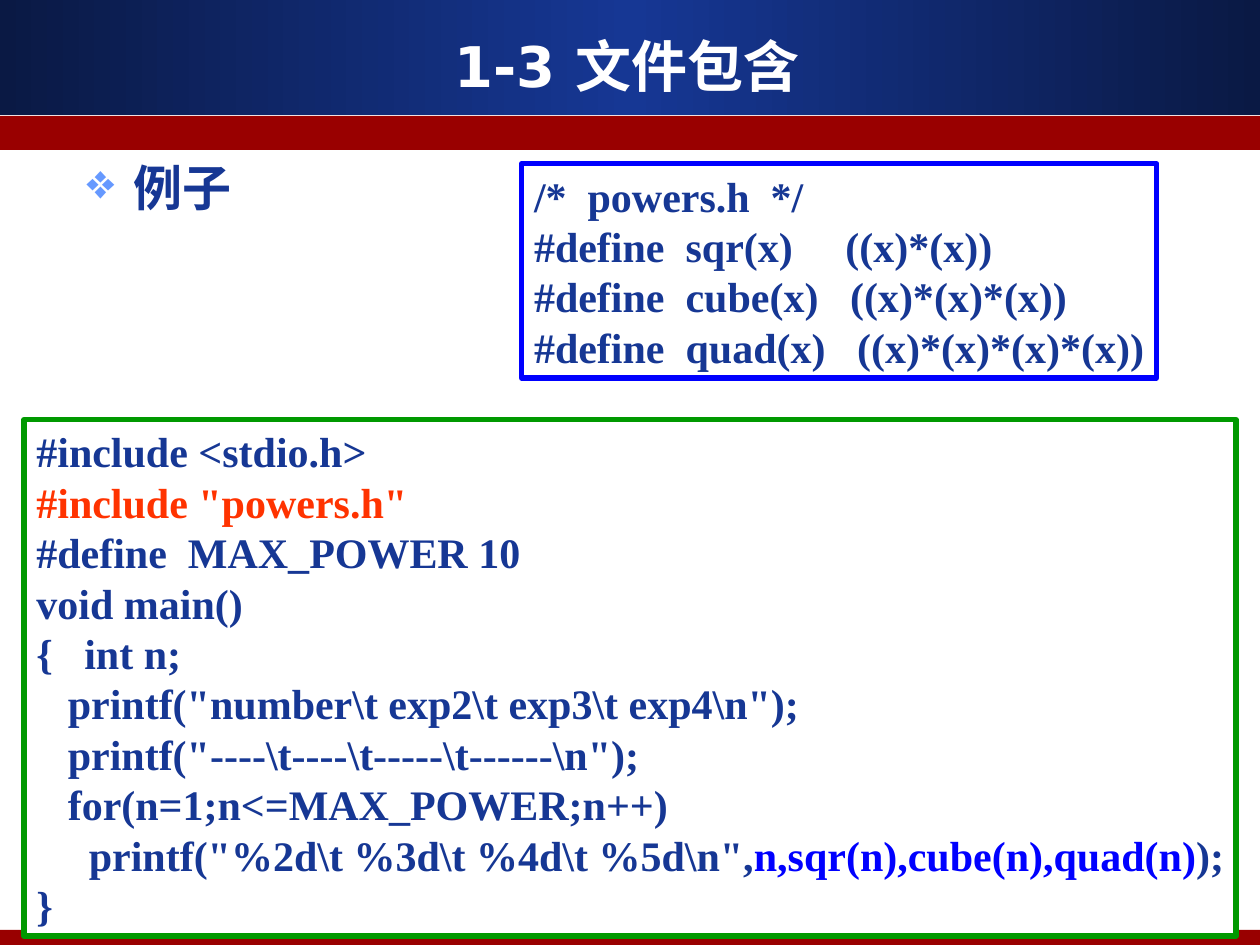
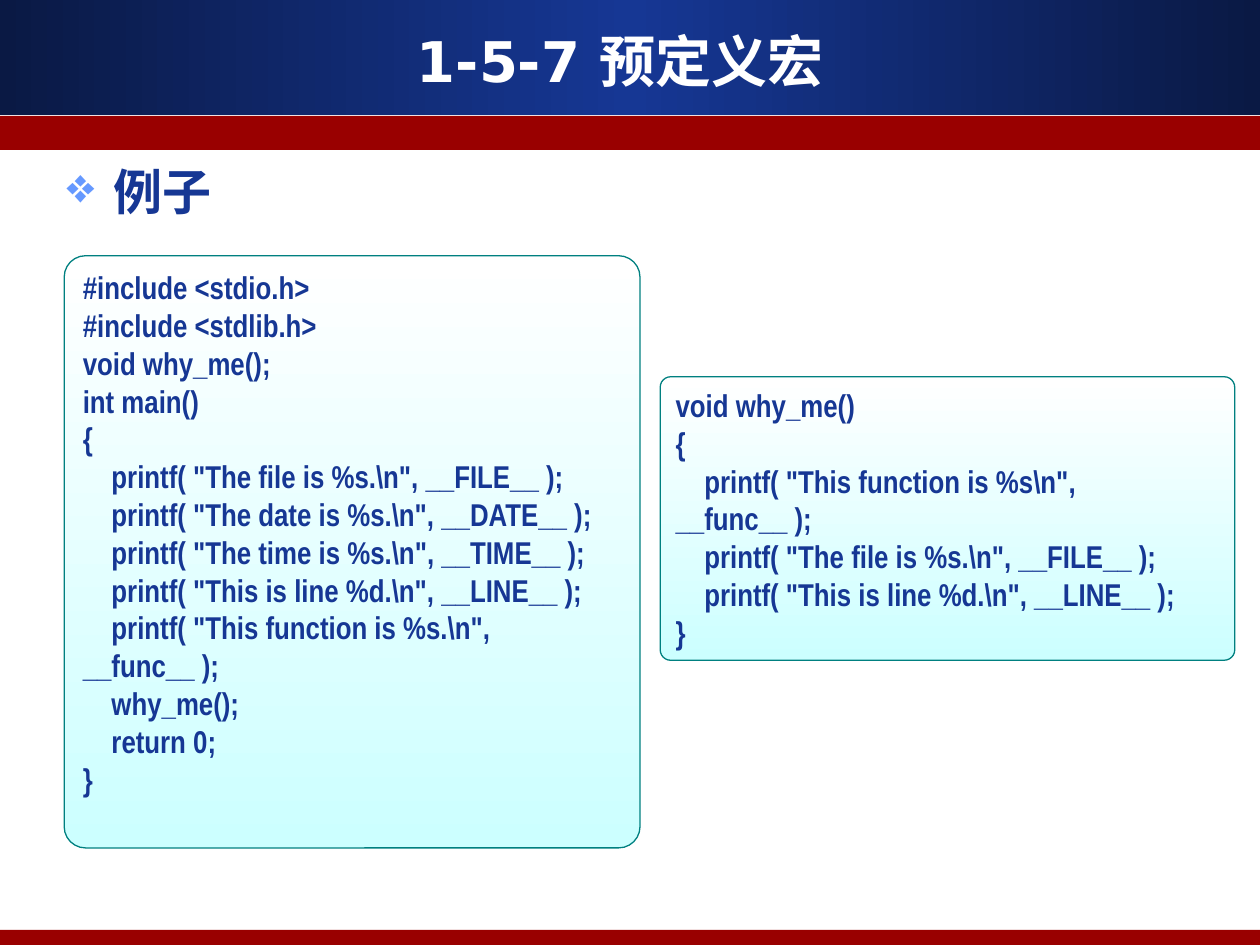
from dataclasses import dataclass

from lxml.etree import SubElement
from pptx import Presentation
from pptx.dml.color import RGBColor
from pptx.enum.shapes import MSO_SHAPE as Shape, PP_PLACEHOLDER as Holder
from pptx.enum.text import MSO_ANCHOR as Anchor, MSO_AUTO_SIZE as AutoSize, PP_ALIGN as Align
from pptx.oxml.ns import qn
from pptx.util import Inches, Pt


@dataclass(frozen=True)
class Theme:
    white: str = "FFFFFF"
    navy: str = "163794"
    midnight: str = "0A1944"
    crimson: str = "990000"
    sky: str = "6699FF"
    blue: str = "0000FF"
    green: str = "009900"
    orange: str = "FF3300"
    teal: str = "008080"
    ice: str = "CCFFFF"
    title_font: str = "DejaVu Sans"
    heading_font: str = "Arial"
    code_font: str = "Times New Roman"
    narrow_font: str = "Arial Narrow"
    title_size: int = 32
    heading_size: int = 28
    code_size: int = 24
    narrow_size: int = 18
    frame_line: float = 3
    panel_line: float = 0.75
    corner: float = 0.037


POWERS_HEADER = r"""/*  powers.h  */
#define  sqr(x)     ((x)*(x))
#define  cube(x)   ((x)*(x)*(x))
#define  quad(x)   ((x)*(x)*(x)*(x))"""

POWERS_MAIN = r"""#include <stdio.h>
#include "powers.h"
#define  MAX_POWER 10
void main()
{   int n;
   printf("number\t exp2\t exp3\t exp4\n");
   printf("----\t----\t-----\t------\n");
   for(n=1;n<=MAX_POWER;n++)
     printf("%2d\t %3d\t %4d\t %5d\n",n,sqr(n),cube(n),quad(n));
}"""

MACROS_MAIN = r"""#include <stdio.h>
#include <stdlib.h>
void why_me();
int main()
{
    printf( "The file is %s.\n", __FILE__ );
    printf( "The date is %s.\n", __DATE__ );
    printf( "The time is %s.\n", __TIME__ );
    printf( "This is line %d.\n", __LINE__ );
    printf( "This function is %s.\n", __func__ );
    why_me();
    return 0;
}"""

MACROS_FUNCTION = r"""void why_me()
{
    printf( "This function is %s\n", __func__ );
    printf( "The file is %s.\n", __FILE__ );
    printf( "This is line %d.\n", __LINE__ );
}"""


def add_span(para, text, *, font, size, color):
    span = para.add_run()
    span.text = text
    span.font.name = font
    span.font.size = Pt(size)
    span.font.bold = True
    span.font.color.rgb = RGBColor.from_string(color)


def paint_gradient(shape, colors, angle):
    shape.fill.gradient()
    shape.fill.gradient_angle = -angle % 360
    stops = next(shape.element.iter(qn("a:gsLst")))
    stops.clear()
    for index, color in enumerate(colors):
        position = 100000 * index // (len(colors) - 1)
        stop = SubElement(stops, qn("a:gs"), pos=str(position))
        SubElement(stop, qn("a:srgbClr"), val=color)


class DeckBuilder:
    def __init__(self, theme):
        self.theme = theme
        self.deck = Presentation()
        self.deck.slide_width = Inches(10)
        self.deck.slide_height = Inches(7.5)
        self.layout = self.deck.slide_layouts[5]
        for holder in list(self.layout.placeholders):
            if holder.placeholder_format.type != Holder.TITLE:
                holder.element.getparent().remove(holder.element)
        self.page = None

    def add_page(self, title, left, top):
        first = self.page is None
        self.page = self.deck.slides.add_slide(self.layout)
        if first:
            self.share_bands()
        box = self.page.shapes.title
        box.left, box.top, box.width, box.height = map(Inches, (left, top, 9.25, 0.63))
        frame = box.text_frame
        frame.auto_size = AutoSize.NONE
        frame.vertical_anchor = Anchor.MIDDLE
        para = frame.paragraphs[0]
        para.alignment = Align.CENTER
        theme = self.theme
        add_span(para, title, font=theme.title_font, size=theme.title_size, color=theme.white)

    def share_bands(self):
        theme = self.theme
        bands = [
            self.add_block(0, 0, 10, 0.91, [theme.midnight, theme.navy, theme.midnight], angle=0),
            self.add_block(0, 0.92, 10, 0.27, [theme.crimson]),
            self.add_block(0, 7.38, 10, 0.12, [theme.crimson]),
        ]
        for index, band in enumerate(bands):
            self.layout.shapes.element.insert(2 + index, band.element)

    def add_block(self, left, top, width, height, fills, *, angle=90, line=None,
                  weight=0, kind=Shape.RECTANGLE):
        block = self.page.shapes.add_shape(kind, *map(Inches, (left, top, width, height)))
        block.shadow.inherit = False
        if len(fills) > 1:
            paint_gradient(block, fills, angle)
        else:
            block.fill.solid()
            block.fill.fore_color.rgb = RGBColor.from_string(fills[0])
        if line:
            block.line.color.rgb = RGBColor.from_string(line)
            block.line.width = Pt(weight)
        else:
            block.line.fill.background()
        return block

    def add_heading(self, text, left, top):
        box = self.page.shapes.add_textbox(*map(Inches, (left, top, 8.3, 0.6)))
        box.text_frame.word_wrap = True
        para = box.text_frame.paragraphs[0]
        props = para._p.get_or_add_pPr()
        hanging = Inches(0.37)
        props.set("marL", str(hanging))
        props.set("indent", str(-hanging))
        tint = SubElement(props, qn("a:buClr"))
        SubElement(tint, qn("a:srgbClr"), val=self.theme.sky)
        SubElement(props, qn("a:buChar"), char="❖")
        theme = self.theme
        add_span(para, text, font=theme.heading_font, size=theme.heading_size, color=theme.navy)

    def write_code(self, block, code, font, size, marks):
        frame = block.text_frame
        for index, line in enumerate(code.split("\n")):
            para = frame.add_paragraph() if index else frame.paragraphs[0]
            para.alignment = Align.LEFT
            mark = next((mark for mark in marks if mark in line), line)
            for text in (line.partition(mark)):
                if text:
                    color = marks.get(text, self.theme.navy)
                    add_span(para, text, font=font, size=size, color=color)

    def add_framed_code(self, code, left, top, width, height, line, marks):
        theme = self.theme
        block = self.add_block(left, top, width, height, [theme.white],
                               line=line, weight=theme.frame_line)
        block.text_frame.word_wrap = False
        block.text_frame.vertical_anchor = Anchor.MIDDLE
        self.write_code(block, code, theme.code_font, theme.code_size, marks)

    def add_code_panel(self, code, left, top, width, height):
        theme = self.theme
        block = self.add_block(left, top, width, height, [theme.white, theme.ice],
                               line=theme.teal, weight=theme.panel_line,
                               kind=Shape.ROUNDED_RECTANGLE)
        block.adjustments[0] = theme.corner
        block.text_frame.word_wrap = True
        block.text_frame.vertical_anchor = Anchor.TOP
        self.write_code(block, code, theme.narrow_font, theme.narrow_size, {})


def main():
    theme = Theme()
    builder = DeckBuilder(theme)

    builder.add_page("1-3 文件包含", 0.35, 0.2)
    builder.add_heading("例子", 0.59, 1.2)
    builder.add_framed_code(POWERS_HEADER, 4.14, 1.3, 5.04, 1.7, theme.blue, {})
    highlights = {
        '#include "powers.h"': theme.orange,
        "n,sqr(n),cube(n),quad(n)": theme.blue,
    }
    builder.add_framed_code(POWERS_MAIN, 0.19, 3.33, 9.62, 4.1, theme.green, highlights)

    builder.add_page("1-5-7 预定义宏", 0.3, 0.16)
    builder.add_heading("例子", 0.43, 1.23)
    builder.add_code_panel(MACROS_MAIN, 0.51, 2.03, 4.57, 4.7)
    builder.add_code_panel(MACROS_FUNCTION, 5.24, 2.99, 4.56, 2.25)

    builder.deck.save("out.pptx")


if __name__ == "__main__":
    main()
